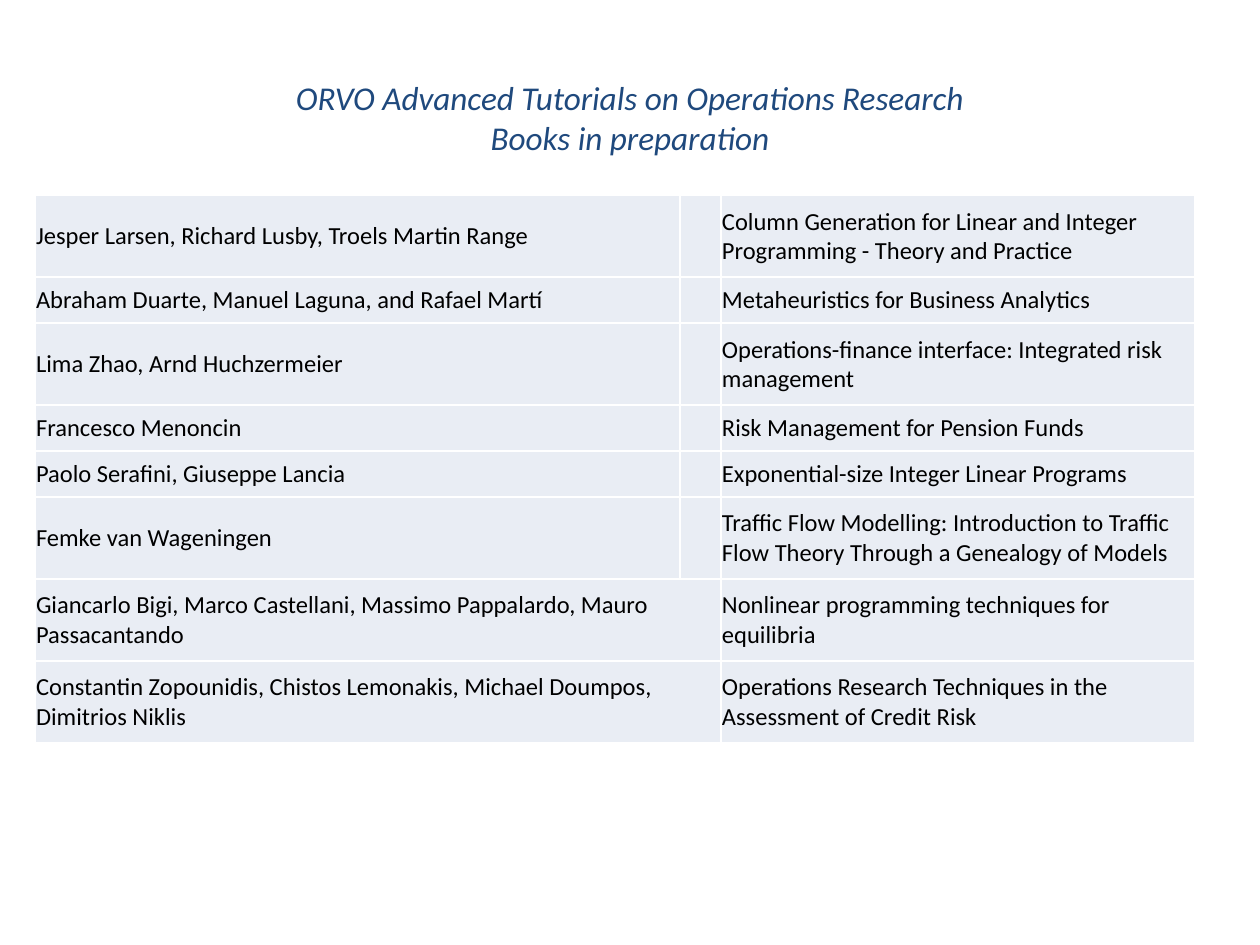
from pptx import Presentation
from pptx import util as u
from pptx.dml.color import RGBColor
from pptx.enum import text

PX = u.Inches(1) / 126


def px(length):
    """Turn px into EMU."""
    return u.Emu(round(length * PX))


def style(paragraph, size, color, italic=False):
    font = paragraph.font
    font.name, font.size, font.italic = "Calibri", u.Pt(size), italic
    font.color.rgb = RGBColor.from_string(color)


prs = Presentation()
prs.slide_width, prs.slide_height = px(1260), px(945)
slide = prs.slides.add_slide(prs.slide_layouts[6])

heading = slide.shapes.add_textbox(px(63), px(38), px(1134), px(158)).text_frame
heading.word_wrap = True
heading.vertical_anchor = text.MSO_ANCHOR.MIDDLE
heading.text = "ORVO Advanced Tutorials on Operations Research\vBooks in preparation"
heading.paragraphs[0].alignment = text.PP_ALIGN.CENTER
style(heading.paragraphs[0], 19, "1F497D", italic=True)

ONE_LINE, TWO_LINES = 46, 82
# authors, title, row height, whether the authors run on into the middle column
books = [
    ("Jesper Larsen, Richard Lusby, Troels Martin Range",
     "Column Generation for Linear and Integer Programming - Theory and Practice", TWO_LINES, False),
    ("Abraham Duarte, Manuel Laguna, and Rafael Martí",
     "Metaheuristics for Business Analytics", ONE_LINE, False),
    ("Lima Zhao, Arnd Huchzermeier",
     "Operations-finance interface: Integrated risk management", TWO_LINES, False),
    ("Francesco Menoncin",
     "Risk Management for Pension Funds", ONE_LINE, False),
    ("Paolo Serafini, Giuseppe Lancia",
     "Exponential-size Integer Linear Programs", ONE_LINE, False),
    ("Femke van Wageningen",
     "Traffic Flow Modelling: Introduction to Traffic Flow Theory Through a Genealogy of Models",
     TWO_LINES, False),
    ("Giancarlo Bigi, Marco Castellani, Massimo Pappalardo, Mauro Passacantando",
     "Nonlinear programming techniques for\vequilibria", TWO_LINES, True),
    ("Constantin Zopounidis, Chistos Lemonakis, Michael Doumpos, Dimitrios Niklis",
     "Operations Research Techniques in the Assessment of Credit Risk", TWO_LINES, True),
]
widths = [645, 41, 474]
table_height = sum(book[2] for book in books)

table = slide.shapes.add_table(len(books), len(widths), px(35), px(195),
                               px(sum(widths)), px(table_height)).table
table.first_row = table.horz_banding = False
for column, width in zip(table.columns, widths):
    column.width = px(width)

for r, (authors, title, height, merged) in enumerate(books):
    table.rows[r].height = px(height)
    for c, words in enumerate((authors, "", title)):
        cell = table.cell(r, c)
        cell.text = words
        cell.fill.solid()
        cell.fill.fore_color.rgb = RGBColor.from_string("E9EDF4")
        cell.vertical_anchor = text.MSO_ANCHOR.MIDDLE
        cell.margin_left = cell.margin_right = cell.margin_top = px(1)
        cell.margin_bottom = 0
        style(cell.text_frame.paragraphs[0], 14, "000000")
    if merged:
        table.cell(r, 0).merge(table.cell(r, 1))

prs.save("out.pptx")
